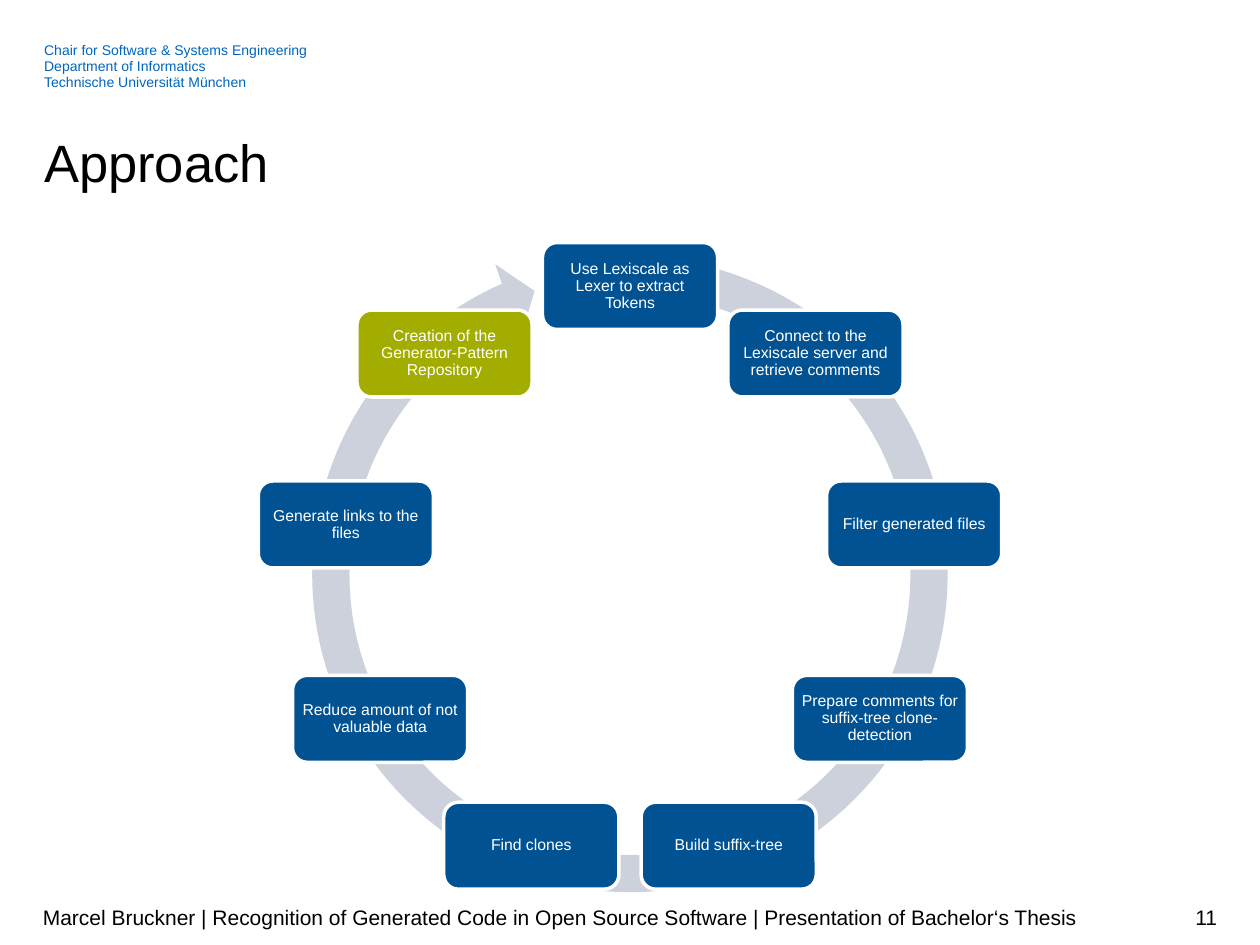
import dataclasses
import math

import pptx
import pptx.dml.color
import pptx.enum.shapes
import pptx.enum.text
import pptx.slide
import pptx.text.text
import pptx.util

Inches = pptx.util.Inches
Pt = pptx.util.Pt
RGBColor = pptx.dml.color.RGBColor
Align = pptx.enum.text.PP_ALIGN
Anchor = pptx.enum.text.MSO_ANCHOR
Preset = pptx.enum.shapes.MSO_SHAPE

BLACK = RGBColor(0x00, 0x00, 0x00)
WHITE = RGBColor(0xFF, 0xFF, 0xFF)
HEADER_BLUE = RGBColor(0x00, 0x65, 0xBD)
STEP_BLUE = RGBColor(0x00, 0x52, 0x93)
STEP_GREEN = RGBColor(0xA2, 0xAD, 0x00)
RING_GREY = RGBColor(0xCC, 0xD1, 0xDC)

CYCLE_X, CYCLE_Y, CYCLE_RADIUS = 5.0, 4.56, 2.29
RING_SIZE = 5.37
RING_ADJUSTMENTS = (0.055, 3.31, 147.54, 168.15, 0.058)
STEP_WIDTH, STEP_HEIGHT = 1.39, 0.69


@dataclasses.dataclass(frozen=True)
class Step:
    text: str
    color: RGBColor = STEP_BLUE


@dataclasses.dataclass(frozen=True)
class Label:
    lines: tuple[str, ...]
    left: float
    top: float
    width: float
    height: float
    size: int
    color: RGBColor = BLACK
    align: Align = Align.LEFT
    anchor: Anchor = Anchor.TOP
    margin_y: float = 0
    spacing: float | pptx.util.Length = 1.0


STEPS = (
    Step("Use Lexiscale as Lexer to extract Tokens"),
    Step("Connect to the Lexiscale server and retrieve comments"),
    Step("Filter generated files"),
    Step("Prepare comments for suffix-tree clone-detection"),
    Step("Build suffix-tree"),
    Step("Find clones"),
    Step("Reduce amount of not valuable data"),
    Step("Generate links to the files"),
    Step("Creation of the Generator-Pattern Repository", STEP_GREEN),
)

LABELS = (
    Label(
        (
            "Chair for Software & Systems Engineering",
            "Department of Informatics",
            "Technische Universität München",
        ),
        0.35, 0.34, 8.42, 0.38, 8, HEADER_BLUE, spacing=0.94,
    ),
    Label(("Approach",), 0.35, 1.09, 9.31, 0.45, 30, spacing=Pt(32)),
    Label(
        ("Marcel Bruckner | Recognition of Generated Code in Open Source Software"
         " | Presentation of Bachelor‘s Thesis",),
        0.34, 7.08, 8.65, 0.4, 12, anchor=Anchor.MIDDLE, margin_y=0.05,
    ),
    Label(("11",), 8.99, 7.08, 0.67, 0.4, 12, align=Align.RIGHT,
          anchor=Anchor.MIDDLE, margin_y=0.05),
)


def apply_format(target: object, values: dict[str, object]) -> None:
    for attribute, value in values.items():
        setattr(target, attribute, value)


def write_text(
    frame: pptx.text.text.TextFrame,
    lines: tuple[str, ...],
    size: int,
    color: RGBColor,
    align: Align,
    anchor: Anchor,
    margins: tuple[float, float],
    spacing: float | pptx.util.Length,
) -> None:
    """Fill the frame with one paragraph per line; margins are horizontal, vertical."""
    margin_x, margin_y = map(Inches, margins)
    apply_format(frame, {
        "word_wrap": True,
        "vertical_anchor": anchor,
        "margin_left": margin_x,
        "margin_right": margin_x,
        "margin_top": margin_y,
        "margin_bottom": margin_y,
    })
    for index, line in enumerate(lines):
        paragraph = frame.add_paragraph() if index else frame.paragraphs[0]
        apply_format(paragraph, {"alignment": align, "line_spacing": spacing})
        run = paragraph.add_run()
        run.text = line
        apply_format(run.font, {"name": "Arial", "size": Pt(size)})
        run.font.color.rgb = color


def draw_label(slide: pptx.slide.Slide, label: Label) -> None:
    bounds = map(Inches, (label.left, label.top, label.width, label.height))
    box = slide.shapes.add_textbox(*bounds)
    write_text(box.text_frame, label.lines, label.size, label.color, label.align,
               label.anchor, (0, label.margin_y), label.spacing)


def draw_ring(slide: pptx.slide.Slide) -> None:
    ring = slide.shapes.add_shape(
        Preset.CIRCULAR_ARROW,
        Inches(CYCLE_X - RING_SIZE / 2), Inches(CYCLE_Y - RING_SIZE / 2),
        Inches(RING_SIZE), Inches(RING_SIZE),
    )
    for index, value in enumerate(RING_ADJUSTMENTS):
        ring.adjustments[index] = value
    ring.shadow.inherit = False
    ring.fill.solid()
    ring.fill.fore_color.rgb = RING_GREY
    ring.line.fill.background()


def draw_step(slide: pptx.slide.Slide, step: Step, angle: float) -> None:
    """Centre a step on the cycle, at an angle clockwise from the top."""
    center_x = CYCLE_X + CYCLE_RADIUS * math.sin(angle)
    center_y = CYCLE_Y - CYCLE_RADIUS * math.cos(angle)
    box = slide.shapes.add_shape(
        Preset.ROUNDED_RECTANGLE,
        Inches(center_x - STEP_WIDTH / 2), Inches(center_y - STEP_HEIGHT / 2),
        Inches(STEP_WIDTH), Inches(STEP_HEIGHT),
    )
    box.shadow.inherit = False
    box.fill.solid()
    box.fill.fore_color.rgb = step.color
    box.line.color.rgb = WHITE
    box.line.width = Pt(2)
    write_text(box.text_frame, (step.text,), 9, WHITE, Align.CENTER,
               Anchor.MIDDLE, (0.04, 0.04), 0.9)


def main() -> None:
    presentation = pptx.Presentation()
    apply_format(presentation, {"slide_width": Inches(10), "slide_height": Inches(7.5)})
    slide = presentation.slides.add_slide(presentation.slide_layouts[6])
    draw_ring(slide)
    for index, step in enumerate(STEPS):
        draw_step(slide, step, math.tau * index / len(STEPS))
    for label in LABELS:
        draw_label(slide, label)
    presentation.save("out.pptx")


if __name__ == "__main__":
    main()
